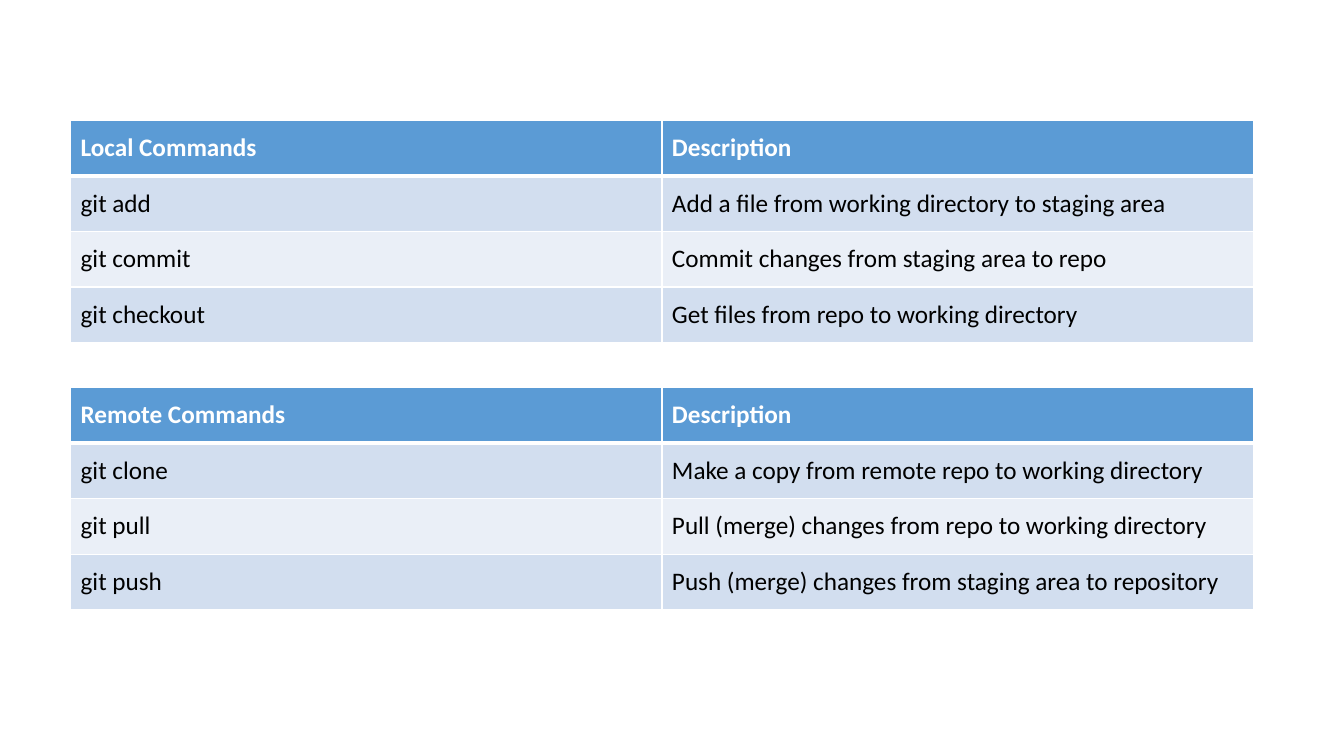
from lxml import etree
from pptx import Presentation
from pptx import util as u
from pptx.dml.color import RGBColor
from pptx.enum import text
from pptx.oxml.ns import qn

PX = 9144  # EMU, 100 px to the inch
COLORS = {
    "head": "5B9BD5",
    "dark": "D2DEEF",
    "light": "EAEFF7",
    "white": "FFFFFF",
    "black": "000000",
}
LOCAL = [
    ("Local Commands", "Description"),
    ("git add", "Add a file from working directory to staging area"),
    ("git commit", "Commit changes from staging area to repo"),
    ("git checkout", "Get files from repo to working directory"),
]
REMOTE = [
    ("Remote Commands", "Description"),
    ("git clone", "Make a copy from remote repo to working directory"),
    ("git pull", "Pull (merge) changes from repo to working directory"),
    ("git push", "Push (merge) changes from staging area to repository"),
]


def rgb(name):
    return RGBColor.from_string(COLORS[name])


def add_edges(cell, row):
    """White rules, thicker where the header meets the body."""
    props = cell._tc.get_or_add_tcPr()
    widths = {"lnL": 1, "lnR": 1, "lnT": 3 if row == 1 else 1, "lnB": 3 if row == 0 else 1}
    for tag, width in widths.items():
        line = etree.SubElement(props, qn("a:" + tag), w=str(u.Pt(width)))
        fill = etree.SubElement(line, qn("a:solidFill"))
        etree.SubElement(fill, qn("a:srgbClr"), val=COLORS["white"])


def fill_cell(cell, row, words):
    head = row == 0
    add_edges(cell, row)
    cell.fill.solid()
    cell.fill.fore_color.rgb = rgb("head" if head else "dark" if row % 2 else "light")
    cell.vertical_anchor = text.MSO_ANCHOR.MIDDLE
    run = cell.text_frame.paragraphs[0].add_run()
    run.text = words
    font = run.font
    font.name, font.size, font.bold = "Calibri", u.Pt(18), head
    font.color.rgb = rgb("white" if head else "black")


def add_grid(slide, box, rows):
    """One command table, its rows and columns shared out evenly in the box."""
    left, top, width, height = (n * PX for n in box)
    count = len(rows[0])
    grid = slide.shapes.add_table(len(rows), count, left, top, width, height).table
    for col in grid.columns:
        col.width = width // count
    for row, line in enumerate(rows):
        grid.rows[row].height = height // len(rows)
        for col, words in enumerate(line):
            fill_cell(grid.cell(row, col), row, words)


def main():
    deck = Presentation()
    deck.slide_width, deck.slide_height = u.Inches(13.33), u.Inches(7.5)
    slide = deck.slides.add_slide(deck.slide_layouts[6])
    # Local commands above, remote commands below
    for top, rows in ((119, LOCAL), (384, REMOTE)):
        add_grid(slide, (70, top, 1173, 221), rows)
    deck.save("out.pptx")


if __name__ == "__main__":
    main()
